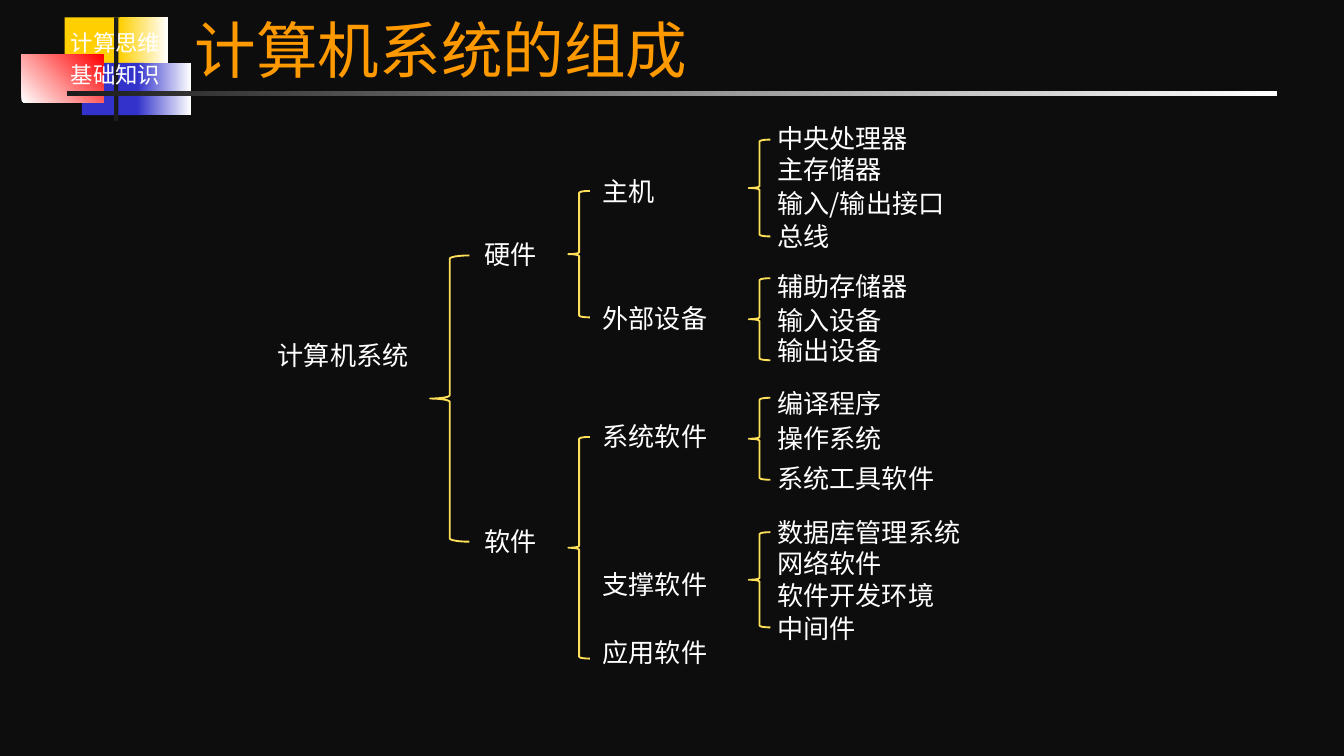
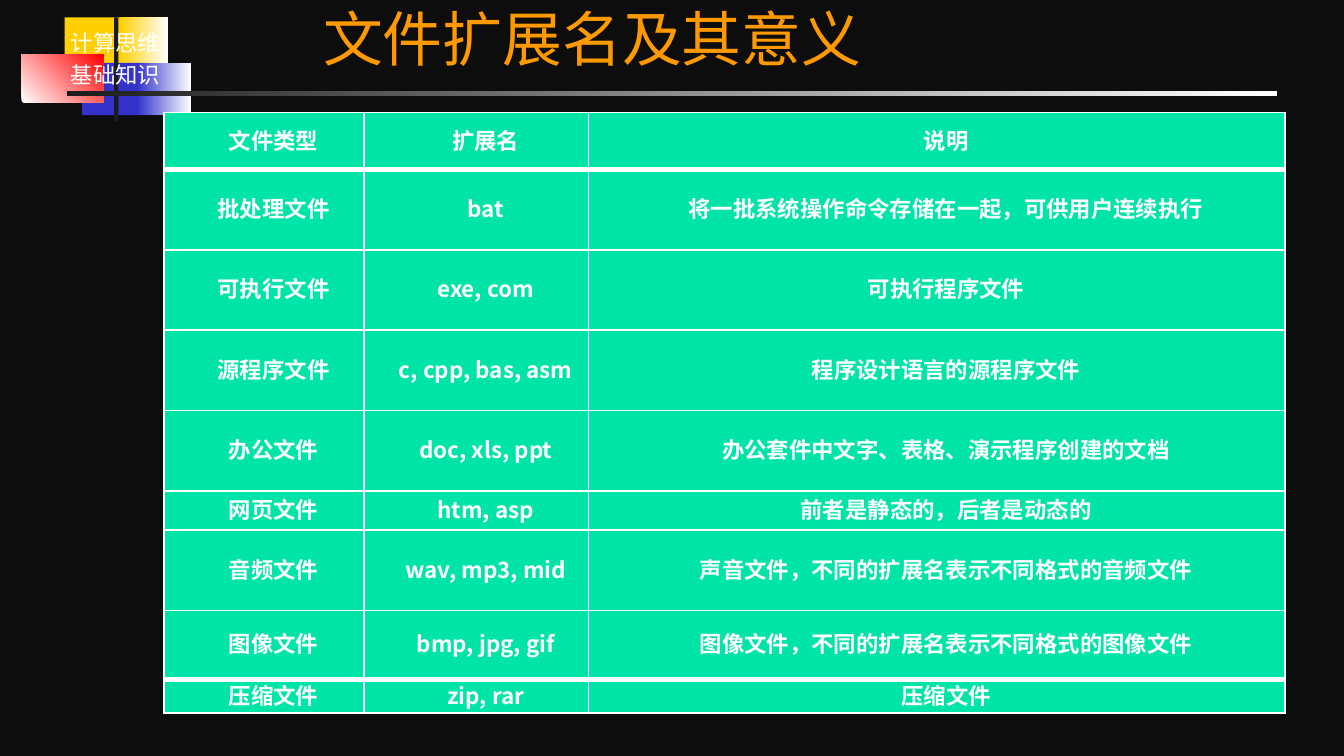
from dataclasses import dataclass

from lxml.etree import SubElement
from pptx import Presentation
from pptx.dml.color import RGBColor as RGB
from pptx.enum.shapes import MSO_SHAPE as Shape
from pptx.enum.text import MSO_ANCHOR as Anchor, PP_ALIGN as Align
from pptx.oxml.ns import qn
from pptx.util import Cm, Pt


@dataclass(frozen=True)
class Theme:
    """Colours, fonts and type sizes of the deck."""
    back: str = "0D0D0D"
    ink: str = "1C1C1C"
    white: str = "FFFFFF"
    gold: str = "FFCF01"
    blue: str = "3333CC"
    red: str = "FF0000"
    title: str = "FF9900"
    brace: str = "FEDF59"
    cell: str = "00E4A8"
    head: str = "Karla"
    body: str = "Noto Sans CJK SC"
    small: float = 12
    node: float = 14


T = Theme()


def style(para, size, color=T.white, font=T.head, left=0, first=0):
    """Set the font and the indents of a paragraph."""
    para.font.size, para.font.name = Pt(size), font
    para.font.color.rgb = RGB.from_string(color)
    props = para._p.get_or_add_pPr()
    props.set("marL", str(int(Cm(left))))
    props.set("indent", str(int(Cm(first))))


def write(slide, box, lines, anchor, *look, align=Align.LEFT, gap=0, **more):
    """Add a text box with one paragraph per line."""
    frame = slide.shapes.add_textbox(*map(Cm, box)).text_frame
    frame.word_wrap, frame.vertical_anchor = True, anchor
    frame.text = "\n".join(lines)
    for para in frame.paragraphs:
        para.alignment, para.space_before = align, Pt(gap)
        style(para, *look, **more)


deck = Presentation()
deck.slide_width, deck.slide_height = Cm(25.4), Cm(14.29)
fill = deck.slide_master.background.fill
fill.solid()
fill.fore_color.rgb = RGB.from_string(T.back)

# Badge, rule and title on both slides: box, colours, gradient angle
BADGE = [
    ((1.22, 0.33, 1.22, 0.99), [T.gold], 0),
    ((2.26, 0.33, 0.91, 0.99), [T.gold, T.white], 0),
    ((1.55, 1.19, 1.17, 0.99), [T.blue], 0),
    ((2.59, 1.19, 1.02, 0.99), [T.blue, T.white], 0),
    ((0.41, 1.04, 1.55, 0.89), [T.white, T.red], 45),
    ((2.16, 0.33, 0.08, 1.96), [T.ink], 0),
    ((1.27, 1.73, 22.86, 0.08), [T.ink, T.white], 0),
]
# Title, left, top, size, indent
TITLES = [
    ("计算机系统的组成", 3.43, -0.05, 33, 0),
    ("文件扩展名及其意义", 2.06, -0.28, 32, 3.8),
]
slides = []
for title, left, top, size, dent in TITLES:
    slide = deck.slides.add_slide(deck.slide_layouts[6])
    slides.append(slide)
    for box, colors, angle in BADGE:
        shape = slide.shapes.add_shape(Shape.RECTANGLE, *map(Cm, box))
        shape.shadow.inherit = False
        shape.line.fill.background()
        if len(colors) == 1:
            shape.fill.solid()
            shape.fill.fore_color.rgb = RGB.from_string(colors[0])
        else:
            shape.fill.gradient()
            shape.fill.gradient_angle = angle
            for stop, color in zip(shape.fill.gradient_stops, colors):
                stop.color.rgb = RGB.from_string(color)
    write(slide, (0.71, 0.43, 2.95, 1.4), ["计算思维", "基础知识"],
          Anchor.TOP, T.small, align=Align.CENTER, gap=2.4)
    write(slide, (left, top, 19.41, 1.8), [title], Anchor.BOTTOM,
          size, T.title, left=dent)
tree, types = slides

# Slide 1: levels of the tree as left, width, height, then top and name
LEVELS = [
    (4.5, 3.99, 1.6, [(5.92, "计算机系统")]),
    (8.41, 2.34, 1.6, [(4.01, "硬件"), (9.42, "软件")]),
    (10.64, 3.3, 1.6, [
        (2.82, "主机"), (5.21, "外部设备"), (7.44, "系统软件"),
        (10.24, "支撑软件"), (11.53, "应用软件")]),
    (13.94, 4.8, 0.81, [
        (2.21, "中央处理器"), (2.79, "主存储器"),
        (3.43, "输入/输出接口"), (4.06, "总线"),
        (5.0, "辅助存储器"), (5.64, "输入设备"), (6.22, "输出设备"),
        (7.21, "编译程序"), (7.87, "操作系统"), (8.64, "系统工具软件"),
        (9.65, "数据库管理系统"), (10.24, "网络软件"),
        (10.85, "软件开发环境"), (11.46, "中间件")]),
]
for left, width, high, nodes in LEVELS:
    for top, name in nodes:
        write(tree, (left, top, width, high), [name], Anchor.MIDDLE,
              T.node, T.white, T.body, left=0.5)

# Braces as left, width, then top and height
BRACES = [
    (8.13, 0.74, [(4.83, 5.41)]),
    (10.74, 0.41, [(3.61, 2.39), (8.26, 4.19)]),
    (14.15, 0.41, [(2.64, 1.83), (5.26, 1.55), (7.52, 1.55), (10.06, 1.8)]),
]
for left, width, spans in BRACES:
    for top, high in spans:
        brace = tree.shapes.add_shape(
            Shape.LEFT_BRACE, Cm(left), Cm(top), Cm(width), Cm(high))
        brace.shadow.inherit = False
        brace.fill.background()
        brace.line.color.rgb = RGB.from_string(T.brace)
        brace.line.width = Pt(1)

# Slide 2: table of file types
ROWS = [
    ("文件类型", "扩展名", "说明"),
    ("批处理文件", "bat", "将一批系统操作命令存储在一起，可供用户连续执行"),
    ("可执行文件", "exe, com", "可执行程序文件"),
    ("源程序文件", "c, cpp, bas, asm", "程序设计语言的源程序文件"),
    ("办公文件", "doc, xls, ppt", "办公套件中文字、表格、演示程序创建的文档"),
    ("网页文件", "htm, asp", "前者是静态的，后者是动态的"),
    ("音频文件", "wav, mp3, mid", "声音文件，不同的扩展名表示不同格式的音频文件"),
    ("图像文件", "bmp, jpg, gif", "图像文件，不同的扩展名表示不同格式的图像文件"),
    ("压缩文件", "zip, rar", "压缩文件"),
]
WIDTHS = [3.78, 4.24, 13.16]
HEIGHTS = [1.07, 1.52, 1.52, 1.52, 1.52, 0.74, 1.52, 1.3, 0.64]
THICK = (1, len(ROWS) - 1)

grid = types.shapes.add_table(
    len(ROWS), len(WIDTHS), Cm(3.1), Cm(2.13),
    Cm(sum(WIDTHS)), Cm(sum(HEIGHTS))).table
grid.first_row = grid.horz_banding = False
for col, width in zip(grid.columns, WIDTHS):
    col.width = Cm(width)
for i, (row, high, texts) in enumerate(zip(grid.rows, HEIGHTS, ROWS)):
    row.height = Cm(high)
    over, under = (3 if edge in THICK else 1 for edge in (i, i + 1))
    for cell, text in zip(row.cells, texts):
        cell.text = text
        cell.vertical_anchor = Anchor.MIDDLE
        cell.margin_left = cell.margin_right = Cm(0.2)
        cell.margin_top = cell.margin_bottom = 0
        para = cell.text_frame.paragraphs[0]
        para.alignment, para.line_spacing = Align.CENTER, Pt(15.6)
        style(para, T.small, font=T.body if i else T.head, first=0.36)
        para.font.bold = True
        props = cell._tc.get_or_add_tcPr()
        sides = [("L", 1), ("R", 1), ("T", over), ("B", under)]
        for side, weight in sides:
            line = SubElement(props, qn(f"a:ln{side}"), w=str(int(Pt(weight))))
            paint = SubElement(line, qn("a:solidFill"))
            SubElement(paint, qn("a:srgbClr"), val=T.white)
        cell.fill.solid()
        cell.fill.fore_color.rgb = RGB.from_string(T.cell)

deck.save("out.pptx")
